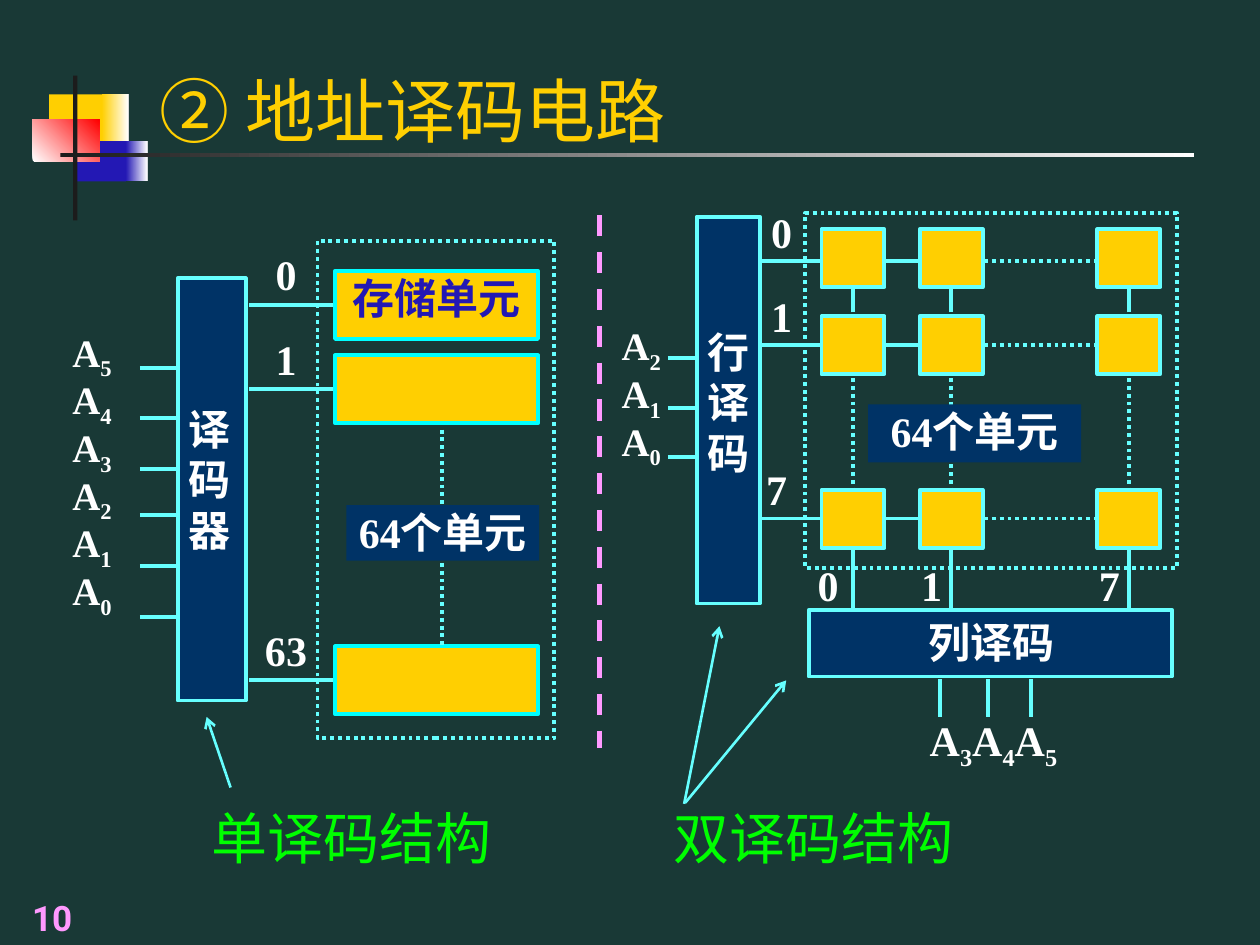
from itertools import product

from lxml.etree import SubElement
from pptx import Presentation
from pptx.dml.color import RGBColor
from pptx.enum.dml import MSO_LINE_DASH_STYLE as Dash
from pptx.enum.shapes import MSO_CONNECTOR, MSO_SHAPE
from pptx.enum.text import MSO_ANCHOR as Anchor, MSO_AUTO_SIZE, PP_ALIGN as Align
from pptx.oxml.ns import qn
from pptx.util import Inches, Pt

BACKGROUND = RGBColor(0x19, 0x39, 0x36)
GOLD = RGBColor(0xFF, 0xCF, 0x01)
BLUE = RGBColor(0x23, 0x18, 0xB4)
RED = RGBColor(0xFF, 0, 0)
WHITE = RGBColor(0xFF, 0xFF, 0xFF)
BLACK = RGBColor(0x1C, 0x1C, 0x1C)
NAVY = RGBColor(0, 0x33, 0x66)
CYAN = RGBColor(0x66, 0xFF, 0xFF)
AQUA = RGBColor(0, 0xFF, 0xFF)
PINK = RGBColor(0xFF, 0x99, 0xFF)
GREEN = RGBColor(0, 0xFF, 0)

SERIF = "Times New Roman"
SANS = "Roboto"
WIDTH, HEIGHT = Inches(10), Inches(7.5)
COLUMNS, ROWS = 100, 75
CELL_WIDTH, CELL_HEIGHT = 5, 4.6
CELL_LEFTS = (65.2, 73, 87.1)
CELL_TOPS = (18.2, 25.1, 38.9)
ROW_LINES = (20.75, 27.4, 41.15)


def column(count):
    return round(WIDTH * count / COLUMNS)


def row(count):
    return round(HEIGHT * count / ROWS)


def area(left, top, width, height):
    return column(left), row(top), column(width), row(height)


def add_box(slide, place, fill=None, line=None, dash=None):
    shape = slide.shapes.add_shape(MSO_SHAPE.RECTANGLE, *area(*place))
    shape.shadow.inherit = False
    if fill is None:
        shape.fill.background()
    else:
        shape.fill.solid()
        shape.fill.fore_color.rgb = fill
    if line is None:
        shape.line.fill.background()
    else:
        shape.line.color.rgb = line
        shape.line.width = Pt(2.25)
        if dash:
            shape.line.dash_style = dash
    return shape


def add_gradient(slide, place, start, end, angle=0):
    shape = add_box(slide, place, start)
    shape.fill.gradient()
    shape.fill.gradient_angle = angle
    for stop, color, position in zip(shape.fill.gradient_stops, (start, end), (0, 1)):
        stop.color.rgb = color
        stop.position = position


def add_line(slide, start, end, dash=None, color=CYAN, width=2.25, arrow=False):
    connector = slide.shapes.add_connector(
        MSO_CONNECTOR.STRAIGHT,
        column(start[0]), row(start[1]), column(end[0]), row(end[1]))
    connector.line.color.rgb = color
    connector.line.width = Pt(width)
    if dash:
        connector.line.dash_style = dash
    properties = connector._element.spPr
    if arrow:
        SubElement(properties.find(qn("a:ln")), qn("a:tailEnd"), type="arrow")
    SubElement(properties, qn("a:effectLst"))


def write(shape, paragraphs, size=24, font=SERIF, color=WHITE, bold=True,
          align=Align.CENTER, anchor=Anchor.TOP, insets=(0.1, 0.1), spacing=None):
    frame = shape.text_frame
    frame.word_wrap = True
    frame.vertical_anchor = anchor
    frame.margin_left = frame.margin_right = column(insets[0])
    frame.margin_top = frame.margin_bottom = row(insets[1])
    for index, runs in enumerate(paragraphs):
        paragraph = frame.add_paragraph() if index else frame.paragraphs[0]
        paragraph.alignment = align
        if spacing:
            paragraph.line_spacing = spacing
        for text, lowered in runs:
            run = paragraph.add_run()
            run.text = text
            run.font.size = Pt(size)
            run.font.name = font
            run.font.bold = bold
            run.font.color.rgb = color
            if lowered:
                run._r.get_or_add_rPr().set("baseline", "-25000")
    return frame


def add_text(slide, place, text, **style):
    return write(slide.shapes.add_textbox(*area(*place)), [[(text, False)]], **style)


def add_addresses(slide, place, lines, **style):
    paragraphs = [[(letter, letter.isdigit()) for letter in line] for line in lines]
    write(slide.shapes.add_textbox(*area(*place)), paragraphs, **style)


def add_caption(slide, left, text):
    frame = add_text(slide, (left, 63.3, 25, 6.4), text, size=32, font=SANS,
                     color=GREEN, bold=False, align=Align.LEFT, insets=(1, 0.5))
    frame.word_wrap = False
    frame.auto_size = MSO_AUTO_SIZE.NONE


def add_heading(slide):
    add_box(slide, (3.9, 7.5, 4.6, 3.7), GOLD)
    add_gradient(slide, (8.1, 7.5, 2.1, 3.7), GOLD, WHITE)
    add_box(slide, (5.9, 11.2, 4.1, 3.2), BLUE)
    add_gradient(slide, (10, 11.2, 1.7, 3.2), BLUE, WHITE)
    add_gradient(slide, (2.6, 9.5, 5.3, 3.3), WHITE, RED, 45)
    add_box(slide, (5.8, 6, 0.35, 11.5), BLACK)
    add_gradient(slide, (4.8, 12.15, 90, 0.35), BLACK, WHITE)
    add_text(slide, (0, 70, 8.3, 5), "10", size=20, font=SANS, color=PINK,
             anchor=Anchor.BOTTOM, insets=(1, 0.5))
    add_text(slide, (11.7, 3.3, 85.2, 9.2), "② 地址译码电路", size=40, font=SANS,
             color=GOLD, bold=False, align=Align.LEFT, anchor=Anchor.BOTTOM,
             insets=(1, 0.5))


def add_single_decoder(slide):
    add_box(slide, (14.1, 22.1, 5.4, 33.5), NAVY, CYAN)
    add_text(slide, (14.4, 31.9, 4.4, 21.5), "译码器")
    add_addresses(slide, (3.4, 26, 7.8, 26.8), [f"A{bit}" for bit in range(5, -1, -1)],
                  size=22.2, spacing=0.9)
    for top in (29.2, 33.2, 37.2, 40.9, 44.9, 49):
        add_line(slide, (11.1, top), (14.1, top))
    for label, top in (("0", 21.5), ("1", 28.2), ("63", 51.3)):
        add_line(slide, (19.8, top + 2.7), (26.5, top + 2.7))
        add_text(slide, (19.3, top - 1.85, 6.8, 4.6), label)
        unit = add_box(slide, (26.6, top, 16.1, 5.4), GOLD, AQUA)
        if label == "0":
            write(unit, [[("存储单元", False)]], color=BLUE)
    add_box(slide, (25.2, 19.1, 18.8, 39.5), line=CYAN, dash=Dash.ROUND_DOT)
    add_line(slide, (35.1, 34.1), (35.1, 51.3), Dash.ROUND_DOT)
    total = add_box(slide, (27.5, 40.1, 15.3, 4.4), NAVY)
    write(total, [[("64个单元", False)]])
    add_caption(slide, 15.8, "单译码结构")
    add_line(slide, (18.3, 62.5), (16.4, 56.9), width=1.5, arrow=True)


def add_cell_matrix(slide):
    for left, top in product(CELL_LEFTS, CELL_TOPS):
        add_box(slide, (left, top, CELL_WIDTH, CELL_HEIGHT), GOLD, CYAN)
    for label, label_left, middle in zip("017", (61.1, 61.1, 60.7), ROW_LINES):
        add_line(slide, (60.4, middle), (65.3, middle))
        add_line(slide, (70.2, middle), (73.1, middle))
        add_line(slide, (78.1, middle), (87.3, middle), Dash.ROUND_DOT)
        add_text(slide, (label_left, middle - 4.45, 2.5, 4.6), label, align=Align.JUSTIFY)
    for label, label_left, left in zip("017", (64.8, 73, 86.8), CELL_LEFTS):
        center = left + CELL_WIDTH / 2
        add_line(slide, (center, 24.8), (center, 22.6))
        add_line(slide, (center, 30), (center, 39.3), Dash.ROUND_DOT)
        add_line(slide, (center, 43.5), (center, 48.5))
        add_text(slide, (label_left, 44.3, 2.5, 4.6), label,
                 align=Align.CENTER if label == "7" else Align.JUSTIFY)
    add_box(slide, (63.9, 16.9, 29.5, 28.2), line=CYAN, dash=Dash.ROUND_DOT)
    total = add_box(slide, (68.9, 32.1, 16.9, 4.6), NAVY)
    write(total, [[("64个单元", False)]])


def add_double_decoder(slide):
    add_box(slide, (64.2, 48.4, 28.8, 5.3), NAVY, CYAN)
    add_text(slide, (69.2, 48.8, 18.9, 4.9), "列译码")
    add_box(slide, (55.3, 17.2, 5, 30.7), NAVY, CYAN)
    add_text(slide, (55.3, 25.8, 5.1, 20.1), "行译码")
    add_addresses(slide, (47.7, 25.5, 6.4, 13.2), ("A2", "A1", "A0"),
                  size=22.2, spacing=0.9)
    for top in (28.4, 32.35, 36.3):
        add_line(slide, (53, top), (55.4, top))
    add_cell_matrix(slide)
    add_addresses(slide, (70.8, 56.6, 16.1, 6.3), ["A3A4A5"])
    for left in (74.6, 78.4, 81.8):
        add_line(slide, (left, 53.9), (left, 56.9))
    add_caption(slide, 52.5, "双译码结构")
    add_line(slide, (54.3, 63.8), (57.1, 49.7), width=1.5, arrow=True)
    add_line(slide, (54.4, 63.7), (62.4, 54), width=1.5, arrow=True)


def main():
    presentation = Presentation()
    presentation.slide_width, presentation.slide_height = WIDTH, HEIGHT
    slide = presentation.slides.add_slide(presentation.slide_layouts[6])
    slide.background.fill.solid()
    slide.background.fill.fore_color.rgb = BACKGROUND
    add_heading(slide)
    add_single_decoder(slide)
    add_double_decoder(slide)
    add_line(slide, (47.6, 17.1), (47.6, 59.4), Dash.DASH, PINK, 3)
    presentation.save("out.pptx")


if __name__ == "__main__":
    main()
